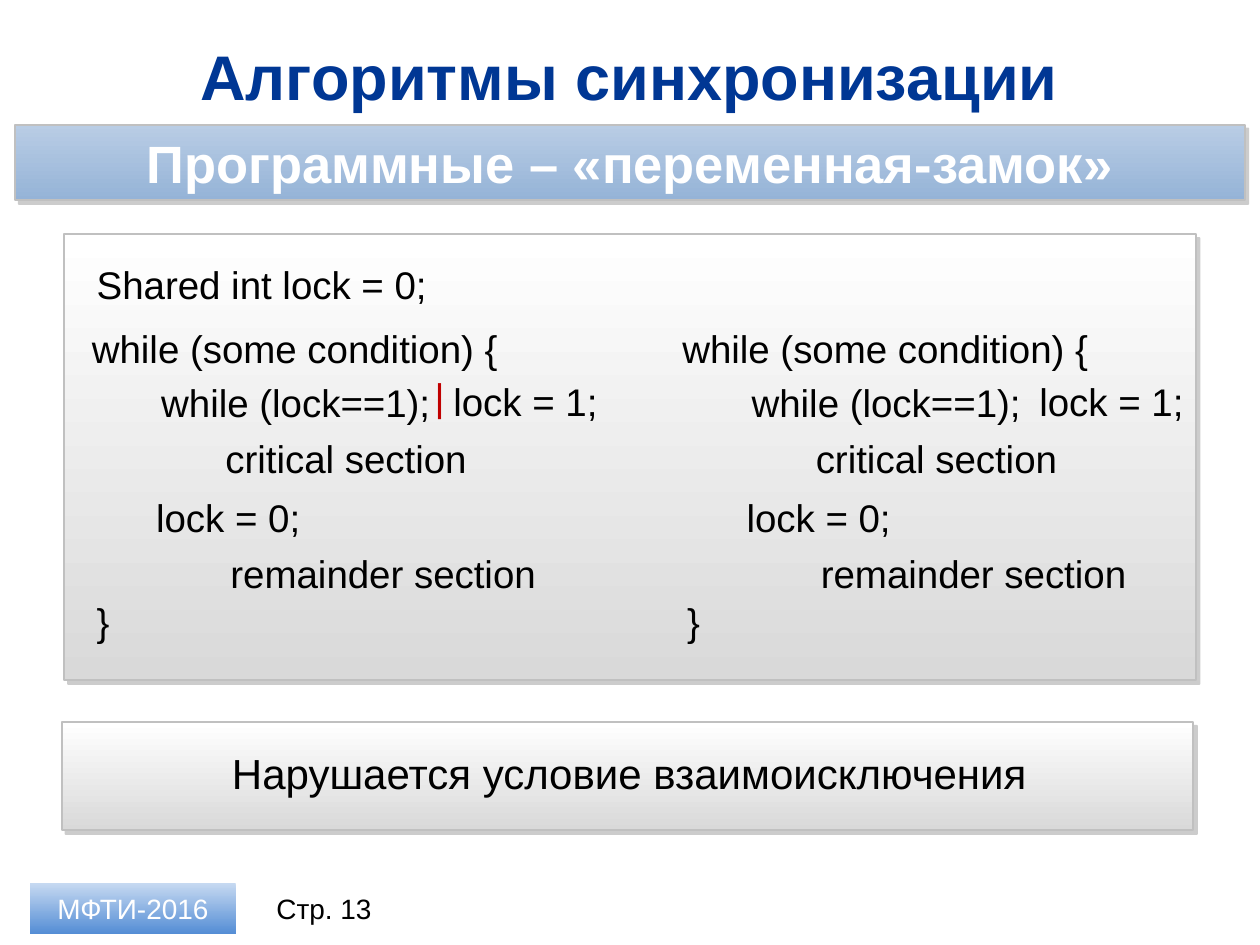
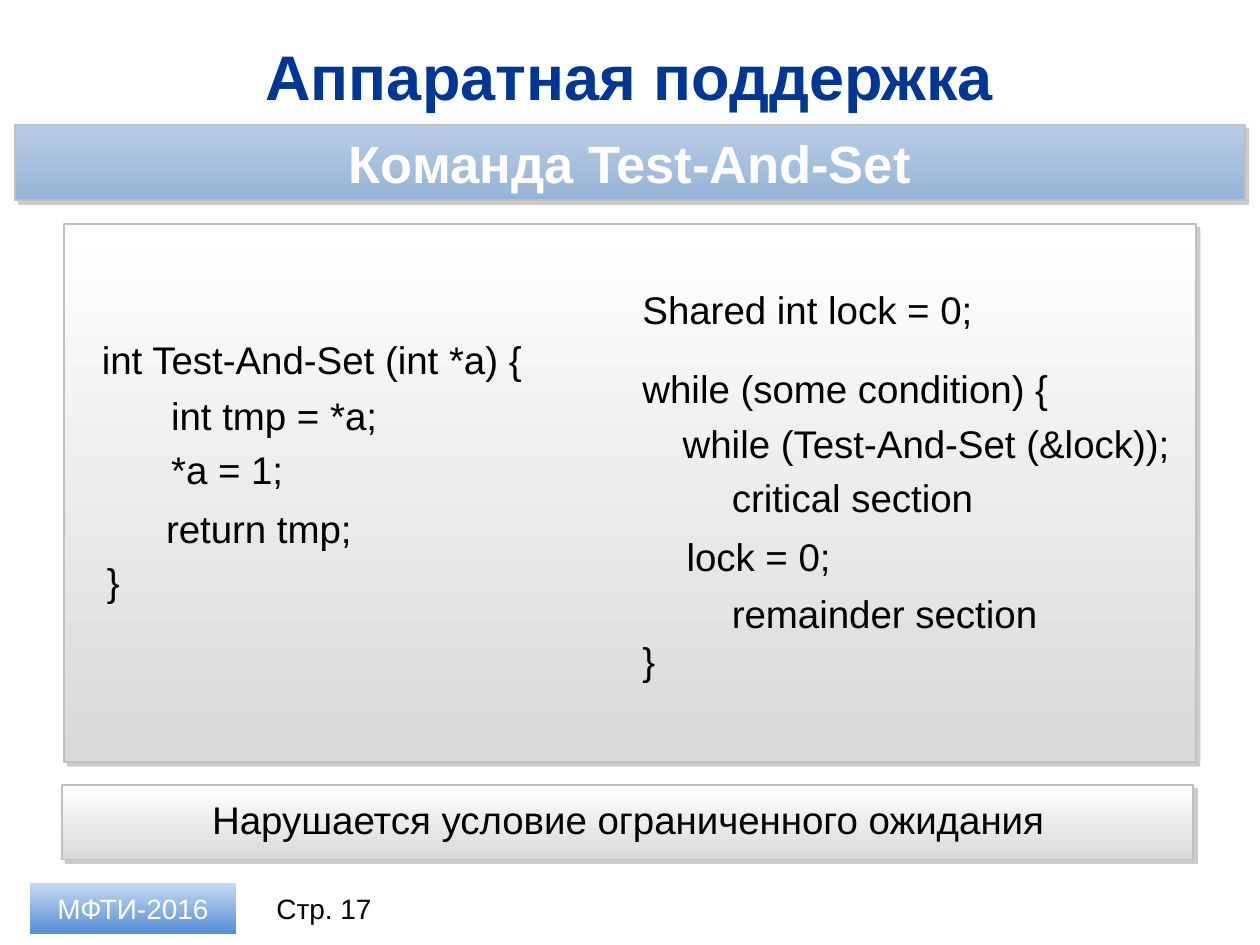
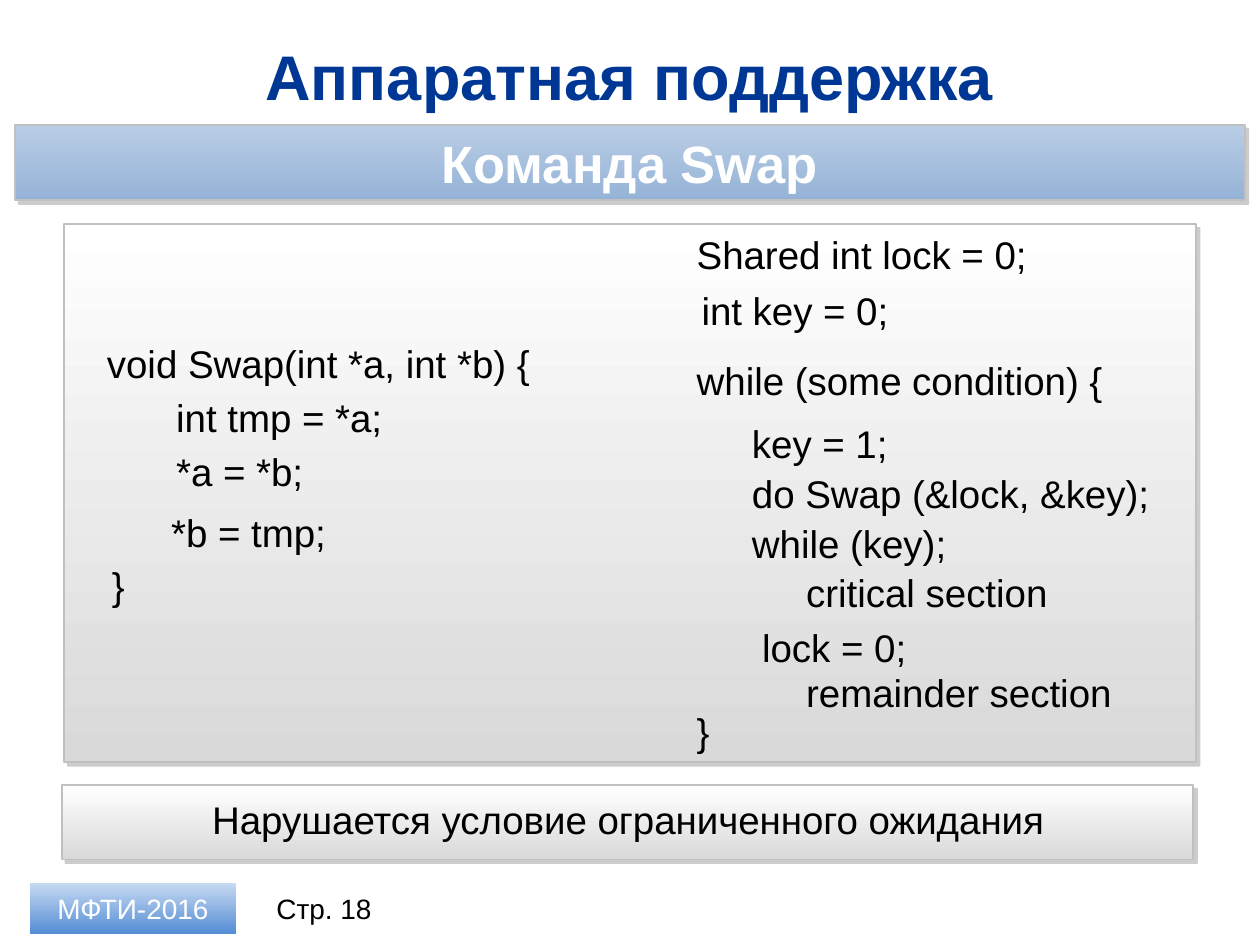
from lxml.etree import SubElement
from pptx import Presentation
from pptx.dml.color import RGBColor
from pptx.enum.shapes import MSO_SHAPE
from pptx.enum.text import MSO_ANCHOR, MSO_AUTO_SIZE, PP_ALIGN
from pptx.oxml.ns import qn
from pptx.util import Pt

FONT = "Arial"
BLACK, WHITE, RED = "000000", "FFFFFF", "C00000"
TITLE_BLUE, BORDER, SHADOW = "003794", "C0C0C0", "808080"
PANEL_GRADIENT = (WHITE, "D9D9D9")
BAND_GRADIENT = ("B9CDE5", "95B3D7")
BADGE_GRADIENT = ("C6D9F1", "558ED5")

TITLE_BOX = (25.2, 18.7, 668.9, 49)
BAND_BOX = (8.6, 71.3, 702.7, 43.2)
BADGE_BOX = (17.3, 504.7, 117.4, 28.8)
PAGE_BOX = (146.2, 504.7, 77.8, 28.8)
LINE_HEIGHT = 33.8


def add_panel(slide, box, gradient, raised=True):
    """Add a rectangle with a top-to-bottom gradient; raised gives it a border and shadow."""
    panel = slide.shapes.add_shape(MSO_SHAPE.RECTANGLE, *map(Pt, box))
    panel.fill.gradient()
    panel.fill.gradient_angle = 270
    for stop, color in zip(panel.fill.gradient_stops, gradient):
        stop.color.rgb = RGBColor.from_string(color)
    panel.shadow.inherit = False
    if not raised:
        panel.line.fill.background()
        return panel
    panel.line.color.rgb = RGBColor.from_string(BORDER)
    panel.line.width = Pt(1)
    effects = panel._element.spPr.find(qn("a:effectLst"))
    shadow = SubElement(effects, qn("a:outerShdw"), blurRad="0", dist=str(Pt(3)),
                        dir="2700000", algn="tl", rotWithShape="0")
    color = SubElement(shadow, qn("a:srgbClr"), val=SHADOW)
    SubElement(color, qn("a:alpha"), val="40000")
    return panel


def write_text(shape, text, size, color=BLACK, bold=False,
               align=PP_ALIGN.CENTER, anchor=MSO_ANCHOR.MIDDLE):
    frame = shape.text_frame
    frame.word_wrap = True
    frame.auto_size = MSO_AUTO_SIZE.NONE
    frame.vertical_anchor = anchor
    paragraph = frame.paragraphs[0]
    paragraph.alignment = align
    run = paragraph.add_run()
    run.text = text
    run.font.name = FONT
    run.font.size = Pt(size)
    run.font.bold = bold
    run.font.color.rgb = RGBColor.from_string(color)


# Code lines: left, top, width, text
lock_process = [
    (45.4, 182.2, 289.4, "while (some condition) {"),
    (85, 213.1, 178.6, "while (lock==1);"),
    (121.7, 244.8, 175.7, "critical section"),
    (82.1, 278.6, 136.1, "lock = 0;"),
    (124.6, 311, 212.4, "remainder section"),
    (48.2, 338.4, 289.4, "}"),
]
lock_shared = [
    (48.2, 145.4, 289.4, "Shared int lock = 0;"),
    (252, 212.4, 141.8, "lock = 1;"),
    (586.8, 212.4, 113.8, "lock = 1;"),
    (241.2, 209.5, 42.5, "|"),
]
test_and_set_function = [
    (51.1, 188.6, 289.4, "int Test-And-Set (int *a) {"),
    (90.7, 220.3, 169.9, "int tmp = *a;"),
    (90.7, 251.3, 175.7, "*a = 1;"),
    (87.8, 285.1, 136.1, "return tmp;"),
    (54, 315.4, 289.4, "}"),
]
test_and_set_process = [
    (360, 159.8, 289.4, "Shared int lock = 0;"),
    (360, 205.2, 289.4, "while (some condition) {"),
    (383, 236.2, 323.3, "while (Test-And-Set (&lock));"),
    (411.1, 267.1, 175.7, "critical section"),
    (385.2, 301, 136.1, "lock = 0;"),
    (411.1, 333.4, 212.4, "remainder section"),
    (360, 360.7, 289.4, "}"),
]
swap_function = [
    (54, 190.8, 289.4, "void Swap(int *a, int *b) {"),
    (93.6, 221.8, 169.9, "int tmp = *a;"),
    (93.6, 252.7, 175.7, "*a = *b;"),
    (90.7, 287.3, 136.1, "*b = tmp;"),
    (56.9, 317.5, 289.4, "}"),
]
swap_process = [
    (391, 128.2, 289.4, "Shared int lock = 0;"),
    (393.8, 160.6, 289.4, "int key = 0;"),
    (391, 200.2, 289.4, "while (some condition) {"),
    (422.6, 236.2, 323.3, "key = 1;"),
    (422.6, 265, 323.3, "do Swap (&lock, &key);"),
    (422.6, 293.8, 323.3, "while (key);"),
    (453.6, 321.8, 175.7, "critical section"),
    (428.4, 352.8, 136.1, "lock = 0;"),
    (453.6, 378.7, 212.4, "remainder section"),
    (391, 401, 289.4, "}"),
]
second_process = [(left + 337.4, *rest) for left, *rest in lock_process]

# Panel and conclusion spans: top, height
lock_layout = {"code": (133.9, 254.9), "conclusion": (412.6, 61.9),
               "text_box": (115.9, 423.4, 487.4, 36), "text_size": 24}
hardware_layout = {"code": (128.2, 307.4), "conclusion": (448.6, 42.5),
                   "text_box": (44, 451.4, 630, LINE_HEIGHT), "text_size": 22}

slides = [
    ("Алгоритмы синхронизации", "Программные – «переменная-замок»",
     lock_process + lock_shared + second_process,
     "Нарушается условие взаимоисключения", lock_layout, 13),
    ("Аппаратная поддержка", "Команда Test-And-Set",
     test_and_set_function + test_and_set_process,
     "Нарушается условие ограниченного ожидания", hardware_layout, 17),
    ("Аппаратная поддержка", "Команда Swap",
     swap_function + swap_process,
     "Нарушается условие ограниченного ожидания", hardware_layout, 18),
]

presentation = Presentation()
presentation.slide_width = Pt(720)
presentation.slide_height = Pt(540)
title_only = presentation.slide_layouts[5]

for title_text, band_text, code_lines, conclusion, layout, page in slides:
    slide = presentation.slides.add_slide(title_only)

    title = slide.shapes.title
    title.left, title.top, title.width, title.height = map(Pt, TITLE_BOX)
    write_text(title, title_text, 36, TITLE_BLUE, bold=True)

    band = add_panel(slide, BAND_BOX, BAND_GRADIENT)
    band.text_frame.margin_left = band.text_frame.margin_right = Pt(17.3)
    band.text_frame.margin_top = band.text_frame.margin_bottom = Pt(2.9)
    write_text(band, band_text, 30, WHITE, bold=True)

    code_top, code_height = layout["code"]
    add_panel(slide, (36.7, code_top, 646.6, code_height), PANEL_GRADIENT)
    for left, top, width, text in code_lines:
        code_box = slide.shapes.add_textbox(*map(Pt, (left, top, width, LINE_HEIGHT)))
        write_text(code_box, text, 22, RED if text == "|" else BLACK,
                   align=PP_ALIGN.LEFT, anchor=MSO_ANCHOR.TOP)

    conclusion_top, conclusion_height = layout["conclusion"]
    add_panel(slide, (35.3, conclusion_top, 646.6, conclusion_height), PANEL_GRADIENT)
    conclusion_box = slide.shapes.add_textbox(*map(Pt, layout["text_box"]))
    write_text(conclusion_box, conclusion, layout["text_size"], anchor=MSO_ANCHOR.TOP)

    badge = add_panel(slide, BADGE_BOX, BADGE_GRADIENT, raised=False)
    write_text(badge, "МФТИ-2016", 16, WHITE)
    page_box = slide.shapes.add_textbox(*map(Pt, PAGE_BOX))
    write_text(page_box, f"Стр. {page}", 16)

presentation.save("out.pptx")
